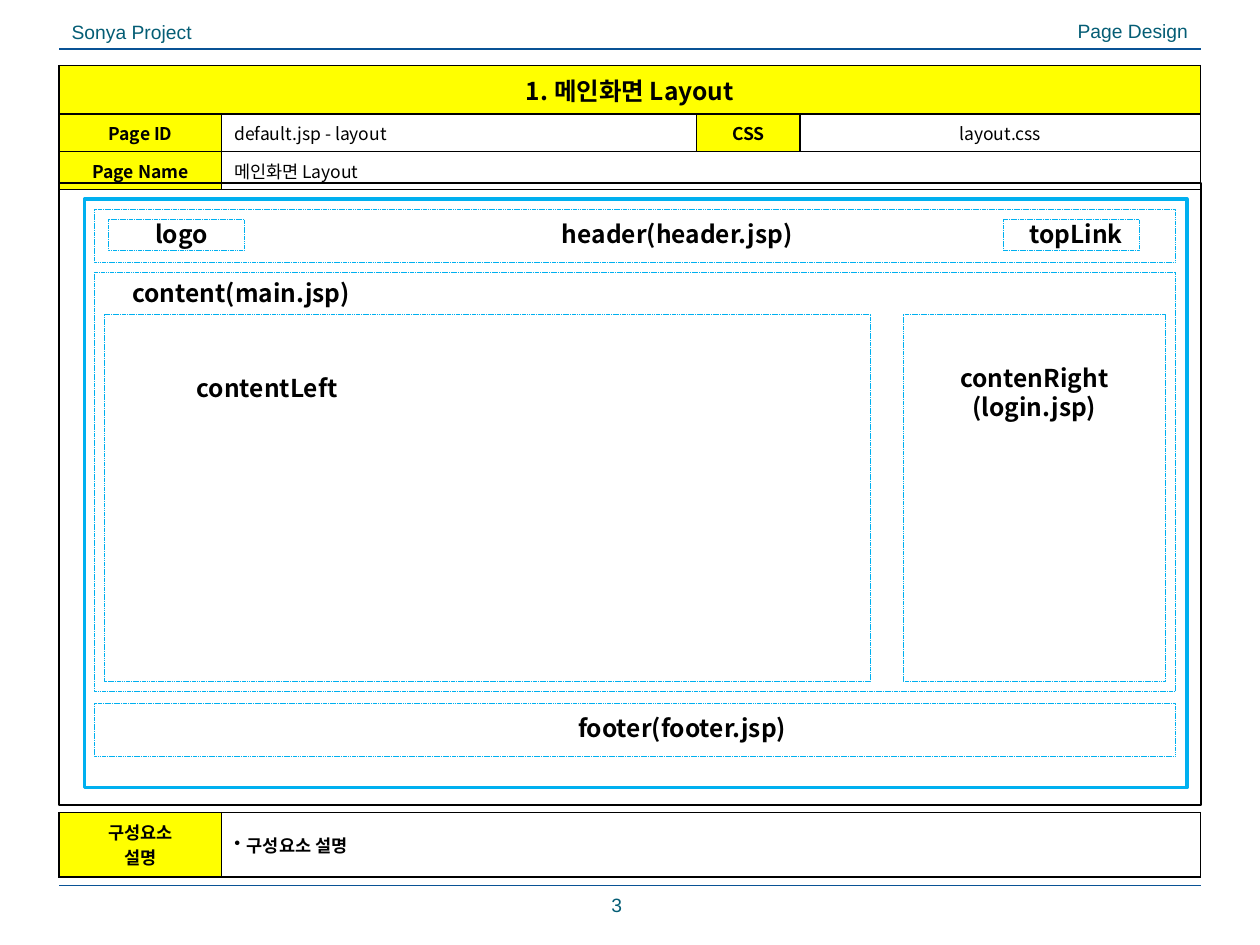
from lxml.etree import SubElement
from pptx import Presentation
from pptx.dml.color import RGBColor
from pptx.enum.dml import MSO_LINE
from pptx.enum.shapes import MSO_CONNECTOR, MSO_SHAPE
from pptx.enum.text import MSO_ANCHOR as ANCHOR, MSO_AUTO_SIZE as FIT, PP_ALIGN as ALIGN
from pptx.oxml.ns import qn
from pptx.util import Inches, Pt

SANS, KOREAN = "Arial", "Noto Sans CJK KR"
BLACK, YELLOW, CYAN, TEAL, BLUE = "000000", "FFFF00", "00B0F0", "045D75", "095295"
LEFT, WIDTH = 0.47, 9.06

# Content: cells are (row, column, text, is label, alignment)
INFO_COLUMNS, INFO_ROWS = [1.29, 3.77, 0.82, 3.18], [0.33, 0.27, 0.27]
INFO_MERGES = [((0, 0), (0, 3)), ((2, 1), (2, 3))]
INFO_CELLS = [
    (0, 0, "1. 메인화면 Layout", True, ALIGN.CENTER),
    (1, 0, "Page ID", True, ALIGN.CENTER),
    (1, 1, "default.jsp - layout", False, ALIGN.LEFT),
    (1, 2, "CSS", True, ALIGN.CENTER),
    (1, 3, "layout.css", False, ALIGN.CENTER),
    (2, 0, "Page Name", True, ALIGN.CENTER),
    (2, 1, "메인화면 Layout", False, ALIGN.LEFT),
]
NOTE_COLUMNS, NOTE_ROWS = [1.29, 7.77], [0.51]
NOTE_LABEL, NOTE_TEXT = "구성요소\n설명", "구성요소 설명"

# Wireframe regions: left, top, width, height
REGIONS = [
    (0.75, 1.66, 8.58, 0.42),   # header
    (0.75, 2.16, 8.58, 3.33),   # content
    (0.75, 5.58, 8.58, 0.42),   # footer
    (0.83, 2.49, 6.08, 2.92),   # content left
    (7.17, 2.49, 2.08, 2.92),   # content right
    (0.86, 1.74, 1.08, 0.25),   # logo
    (7.96, 1.74, 1.08, 0.25),   # top link
]
REGION_LABELS = [
    ("header(header.jsp)", 4.25, 1.69, 2.25, 0.34),
    ("contentLeft", 1.33, 2.91, 1.58, 0.34),
    ("content(main.jsp)", 0.75, 2.16, 2.33, 0.34),
    ("contenRight\n(login.jsp)", 7.42, 2.83, 1.58, 0.57),
    ("footer(footer.jsp)", 4.33, 5.61, 2.17, 0.34),
    ("logo", 0.65, 1.69, 1.58, 0.34),
    ("topLink", 7.75, 1.69, 1.58, 0.34),
]


def rgb(value):
    return RGBColor.from_string(value)


def write(frame, text, size=14, font=KOREAN, color=BLACK, bold=True,
          align=ALIGN.CENTER, bullet=None):
    for index, line in enumerate(text.split("\n")):
        para = frame.paragraphs[0] if index == 0 else frame.add_paragraph()
        para.alignment = align
        if bullet:
            properties = para._p.get_or_add_pPr()
            properties.set("marL", str(Inches(0.1)))
            properties.set("indent", str(-Inches(0.1)))
            SubElement(properties, qn("a:buChar")).set("char", bullet)
        span = para.add_run()
        span.text = line
        span.font.size, span.font.name, span.font.bold = Pt(size), font, bold
        span.font.color.rgb = rgb(color)
        SubElement(span._r.get_or_add_rPr(), qn("a:ea")).set("typeface", KOREAN)


def place(shape, *area):
    shape.left, shape.top, shape.width, shape.height = map(Inches, area)


def add_label(text, *area, box=None, anchor=ANCHOR.TOP, **style):
    box = box or page.shapes.add_textbox(0, 0, 0, 0)
    place(box, *area)
    frame = box.text_frame
    frame.word_wrap, frame.auto_size = True, FIT.NONE
    frame.vertical_anchor = anchor
    write(frame, text, **style)


def add_outline(area, color, width, dash=None):
    outline = page.shapes.add_shape(MSO_SHAPE.RECTANGLE, *map(Inches, area))
    outline.shadow.inherit = False
    outline.fill.background()
    outline.line.color.rgb = rgb(color)
    outline.line.width = Pt(width)
    if dash:
        outline.line.dash_style = dash


def add_rule(top):
    rule = page.shapes.add_connector(
        MSO_CONNECTOR.STRAIGHT, Inches(LEFT), Inches(top), Inches(LEFT + WIDTH), Inches(top))
    rule.line.color.rgb = rgb(BLUE)
    rule.line.width = Pt(0.75)
    SubElement(rule._element.spPr, qn("a:effectLst"))


def add_grid(top, columns, rows):
    grid = page.shapes.add_table(
        len(rows), len(columns), Inches(LEFT), Inches(top), Inches(WIDTH), Inches(sum(rows))).table
    for column, width in zip(grid.columns, columns):
        column.width = Inches(width)
    for row, height in zip(grid.rows, rows):
        row.height = Inches(height)
    for cell in grid.iter_cells():
        properties = cell._tc.get_or_add_tcPr()
        for side in ("lnL", "lnR", "lnT", "lnB"):
            border = SubElement(properties, qn("a:" + side), w=str(Pt(1)))
            fill = SubElement(border, qn("a:solidFill"))
            SubElement(fill, qn("a:srgbClr"), val=BLACK)
        cell.fill.background()
    return grid


def fill_cell(cell, text, label, anchor=ANCHOR.TOP, **style):
    if label:
        cell.fill.solid()
        cell.fill.fore_color.rgb = rgb(YELLOW)
    cell.vertical_anchor = anchor
    write(cell.text_frame, text, **style)


deck = Presentation()
deck.slide_width, deck.slide_height = Inches(10), Inches(7.5)
page = deck.slides.add_slide(deck.slide_layouts[5])

# Running header and footer
running = dict(size=11, font=SANS, color=TEAL, bold=False, anchor=ANCHOR.BOTTOM)
add_label("Page Design", 7.58, 0.1, 1.95, 0.29, box=page.shapes.title,
          align=ALIGN.RIGHT, **running)
add_label("Sonya Project", LEFT, 0.1, 1.95, 0.29, align=ALIGN.LEFT, **running)
add_label("3", 4.48, 7.03, 0.83, 0.29, **running)
for rule_top in (0.39, 7.03):
    add_rule(rule_top)

# Page information table
info = add_grid(0.52, INFO_COLUMNS, INFO_ROWS)
for first, last in INFO_MERGES:
    info.cell(*first).merge(info.cell(*last))
for row, column, text, label, align in INFO_CELLS:
    fill_cell(info.cell(row, column), text, label, bold=label, align=align,
              size=14 if row == 0 else 10)

# Component notes table
note = add_grid(6.45, NOTE_COLUMNS, NOTE_ROWS)
note_style = dict(size=10, font=SANS, anchor=ANCHOR.MIDDLE)
fill_cell(note.cell(0, 0), NOTE_LABEL, True, **note_style)
fill_cell(note.cell(0, 1), NOTE_TEXT, False, align=ALIGN.LEFT, bullet="•", **note_style)

# Layout wireframe
add_outline((LEFT, 1.45, WIDTH, 4.94), BLACK, 1)
add_outline((0.67, 1.58, 8.75, 4.67), CYAN, 2)
for region in REGIONS:
    add_outline(region, CYAN, 0.25, MSO_LINE.SQUARE_DOT)
for region_label in REGION_LABELS:
    add_label(*region_label)

deck.save("out.pptx")
